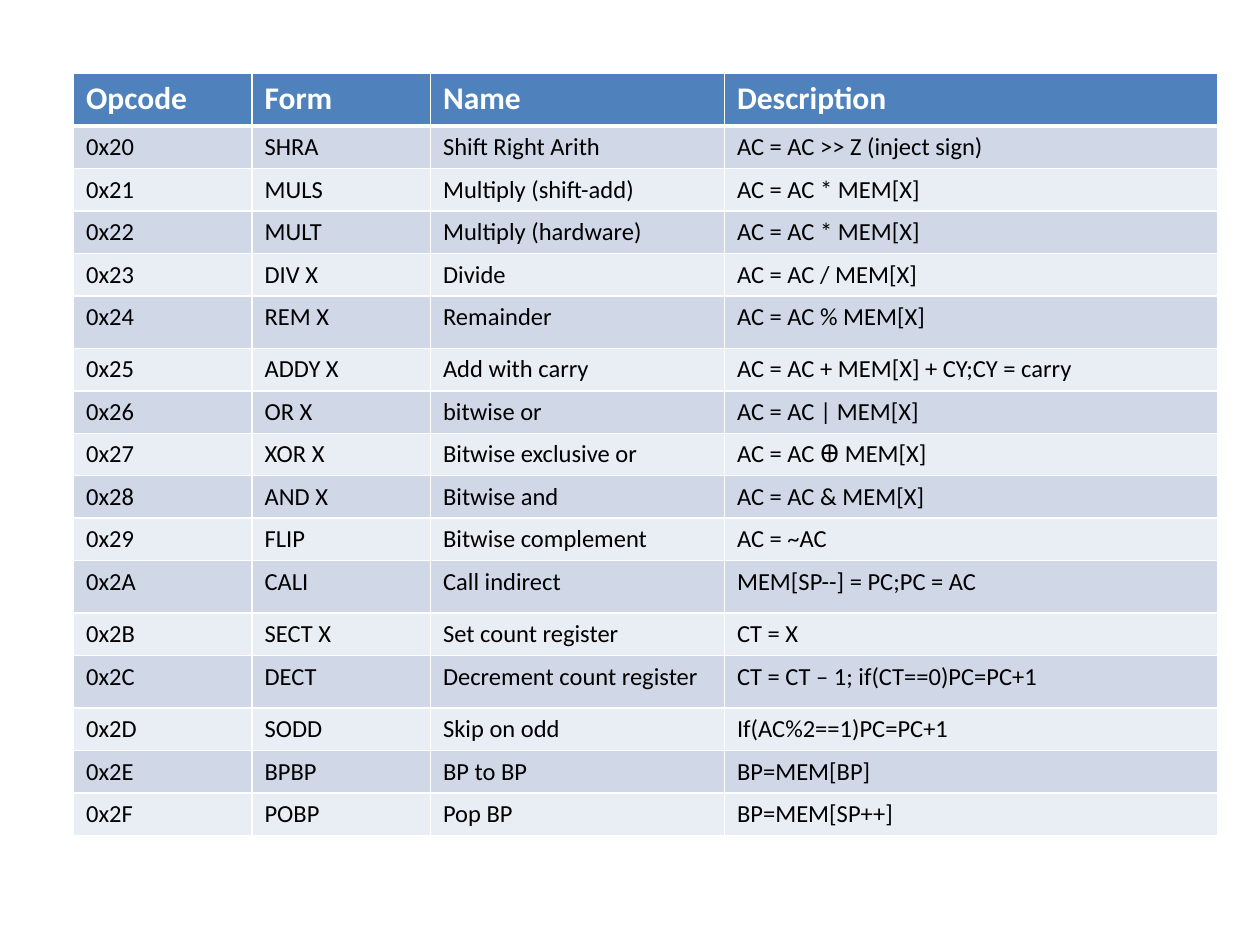
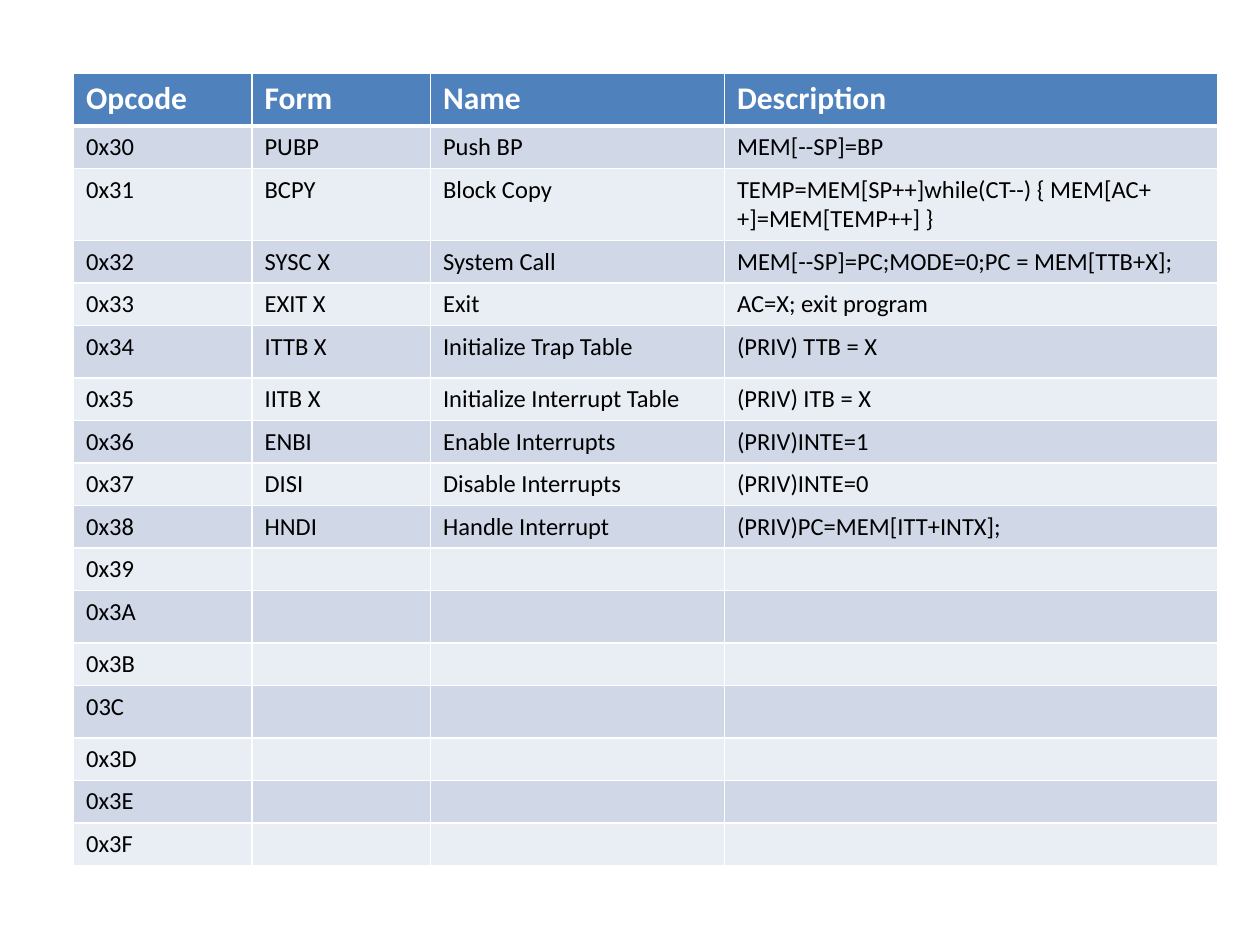
"""Build two slides of an opcode reference table."""
from dataclasses import dataclass

from lxml.etree import SubElement
from pptx import Presentation
from pptx.dml.color import RGBColor as RGB
from pptx.oxml.ns import qn
from pptx.util import Inches, Pt


@dataclass(frozen=True)
class Theme:
    font: str = "Calibri"
    head_fill: str = "4F81BD"
    head_text: str = "FFFFFF"
    bands: tuple[str, str] = ("D0D8E8", "E9EDF4")
    text: str = "000000"
    rule: str = "FFFFFF"
    head_size: int = 18
    body_size: int = 14
    thin: int = 1
    thick: int = 3


@dataclass(frozen=True)
class Grid:
    unit: int = Inches(10) // 120
    left: int = 7
    top: int = 7
    cols: tuple[int, ...] = (17, 17, 28, 47)
    row: int = 4
    tall_row: int = 5
    tall_rows: tuple[int, ...] = (0, 5, 11, 13)

    def height(self, i: int) -> int:
        return self.tall_row if i in self.tall_rows else self.row


@dataclass(frozen=True)
class Op:
    code: str
    form: str = ""
    name: str = ""
    description: str = ""

    def cells(self) -> tuple[str, ...]:
        return self.code, self.form, self.name, self.description


THEME = Theme()
GRID = Grid()
HEADER = Op("Opcode", "Form", "Name", "Description")

ARITHMETIC_OPS = [
    Op("0x20", "SHRA", "Shift Right Arith", "AC = AC >> Z (inject sign)"),
    Op("0x21", "MULS", "Multiply (shift-add)", "AC = AC * MEM[X]"),
    Op("0x22", "MULT", "Multiply (hardware)", "AC = AC * MEM[X]"),
    Op("0x23", "DIV X", "Divide", "AC = AC / MEM[X]"),
    Op("0x24", "REM X", "Remainder", "AC = AC % MEM[X]"),
    Op("0x25", "ADDY X", "Add with carry", "AC = AC + MEM[X] + CY;CY = carry"),
    Op("0x26", "OR X", "bitwise or", "AC = AC | MEM[X]"),
    Op("0x27", "XOR X", "Bitwise exclusive or", "AC = AC \ua69a MEM[X]"),
    Op("0x28", "AND X", "Bitwise and", "AC = AC & MEM[X]"),
    Op("0x29", "FLIP", "Bitwise complement", "AC = ~AC"),
    Op("0x2A", "CALI", "Call indirect", "MEM[SP--] = PC;PC = AC"),
    Op("0x2B", "SECT X", "Set count register", "CT = X"),
    Op("0x2C", "DECT", "Decrement count register", "CT = CT – 1; if(CT==0)PC=PC+1"),
    Op("0x2D", "SODD", "Skip on odd", "If(AC%2==1)PC=PC+1"),
    Op("0x2E", "BPBP", "BP to BP", "BP=MEM[BP]"),
    Op("0x2F", "POBP", "Pop BP", "BP=MEM[SP++]"),
]

SYSTEM_OPS = [
    Op("0x30", "PUBP", "Push BP", "MEM[--SP]=BP"),
    Op("0x31", "BCPY", "Block Copy",
       "TEMP=MEM[SP++]while(CT--) { MEM[AC++]=MEM[TEMP++] }"),
    Op("0x32", "SYSC X", "System Call", "MEM[--SP]=PC;MODE=0;PC = MEM[TTB+X];"),
    Op("0x33", "EXIT X", "Exit", "AC=X; exit program"),
    Op("0x34", "ITTB X", "Initialize Trap Table", "(PRIV) TTB = X"),
    Op("0x35", "IITB X", "Initialize Interrupt Table", "(PRIV) ITB = X"),
    Op("0x36", "ENBI", "Enable Interrupts", "(PRIV)INTE=1"),
    Op("0x37", "DISI", "Disable Interrupts", "(PRIV)INTE=0"),
    Op("0x38", "HNDI", "Handle Interrupt", "(PRIV)PC=MEM[ITT+INTX];"),
    *map(Op, ("0x39", "0x3A", "0x3B", "03C", "0x3D", "0x3E", "0x3F")),
]


def set_borders(cell, top: int, bottom: int) -> None:
    tc_pr = cell._tc.get_or_add_tcPr()
    widths = {"L": THEME.thin, "R": THEME.thin, "T": top, "B": bottom}
    for side, width in widths.items():
        ln = SubElement(tc_pr, qn(f"a:ln{side}"), w=str(Pt(width)))
        fill = SubElement(ln, qn("a:solidFill"))
        SubElement(fill, qn("a:srgbClr"), val=THEME.rule)


def write_cell(cell, text: str, *, size: int, color: str, fill: str,
               bold: bool = False) -> None:
    cell.fill.solid()
    cell.fill.fore_color.rgb = RGB.from_string(fill)
    p = cell.text_frame.paragraphs[0]
    if not text:
        SubElement(p._p, qn("a:endParaRPr"), sz=str(size * 100))
        return
    r = p.add_run()
    r.text = text
    r.font.name = THEME.font
    r.font.size = Pt(size)
    r.font.bold = bold
    r.font.color.rgb = RGB.from_string(color)


def add_op_slide(prs, ops: list[Op]) -> None:
    s = prs.slides.add_slide(prs.slide_layouts[6])
    rows = [HEADER, *ops]
    heights = [GRID.height(i) for i in range(len(rows))]
    frame = (GRID.left, GRID.top, sum(GRID.cols), sum(heights))
    table = s.shapes.add_table(len(rows), len(GRID.cols),
                               *(n * GRID.unit for n in frame)).table
    for col, width in zip(table.columns, GRID.cols):
        col.width = width * GRID.unit
    for i, (op, height) in enumerate(zip(rows, heights)):
        table.rows[i].height = height * GRID.unit
        if i == 0:
            style = dict(size=THEME.head_size, color=THEME.head_text,
                         fill=THEME.head_fill, bold=True)
        else:
            style = dict(size=THEME.body_size, color=THEME.text,
                         fill=THEME.bands[(i - 1) % 2])
        for j, text in enumerate(op.cells()):
            cell = table.cell(i, j)
            set_borders(cell, top=THEME.thick if i == 1 else THEME.thin,
                        bottom=THEME.thick if i == 0 else THEME.thin)
            write_cell(cell, text, **style)


def main() -> None:
    prs = Presentation()
    prs.slide_width, prs.slide_height = Inches(10), Inches(7.5)
    for ops in (ARITHMETIC_OPS, SYSTEM_OPS):
        add_op_slide(prs, ops)
    prs.save("out.pptx")


main()
